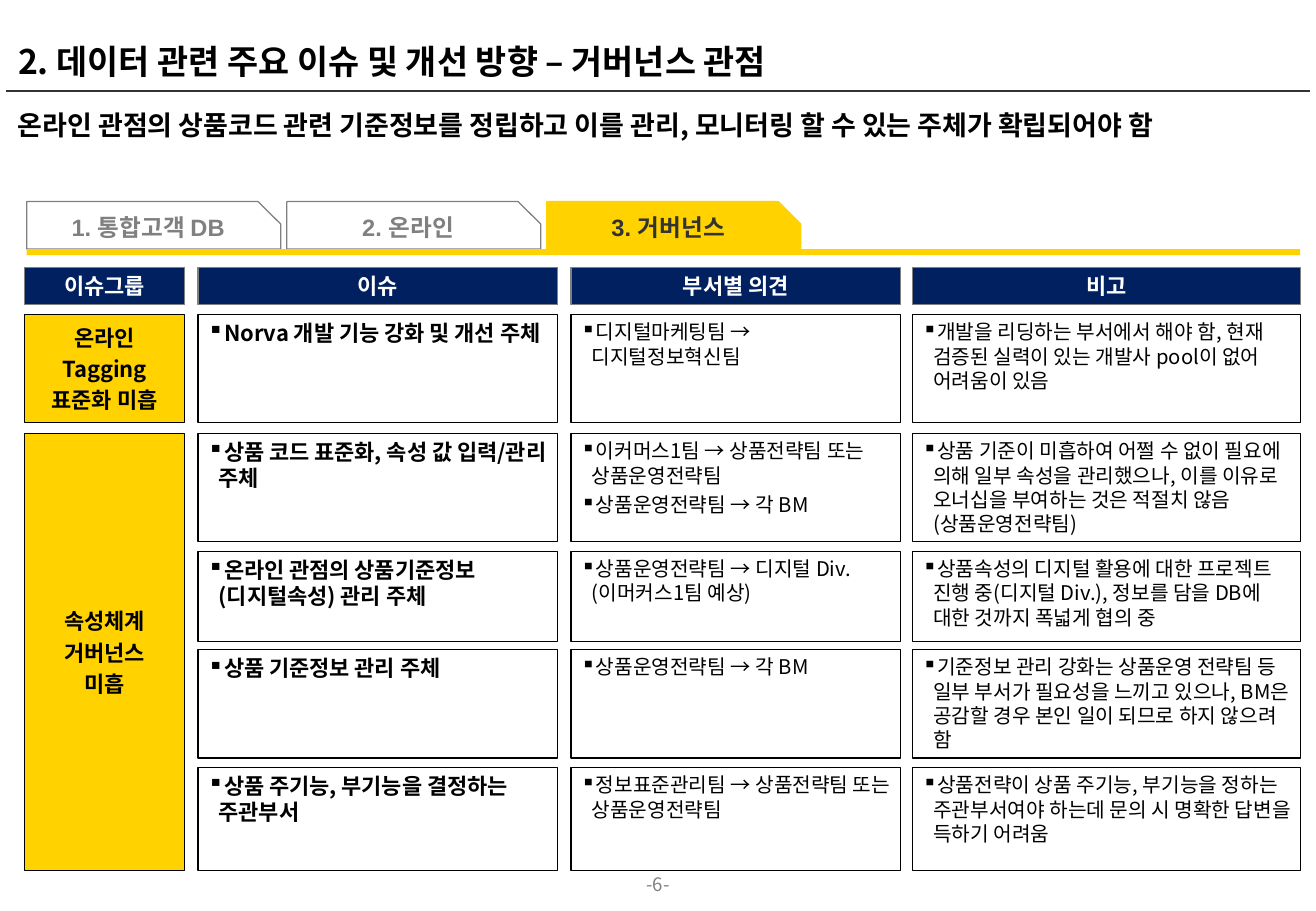
from dataclasses import dataclass

from lxml import etree
from pptx import Presentation
from pptx.dml.color import RGBColor
from pptx.enum.shapes import MSO_CONNECTOR, MSO_SHAPE
from pptx.enum.text import MSO_ANCHOR, PP_ALIGN
from pptx.oxml.ns import qn
from pptx.util import Inches, Pt

RECT, TAB = MSO_SHAPE.RECTANGLE, MSO_SHAPE.SNIP_1_RECTANGLE
STRAIGHT = MSO_CONNECTOR.STRAIGHT
TOP, MIDDLE, BOTTOM = MSO_ANCHOR.TOP, MSO_ANCHOR.MIDDLE, MSO_ANCHOR.BOTTOM
LEFT, CENTER = PP_ALIGN.LEFT, PP_ALIGN.CENTER


@dataclass(frozen=True)
class Theme:
    """Colours, fonts and type sizes of the slide."""
    black: str = "000000"
    white: str = "FFFFFF"
    dark: str = "333333"
    gray: str = "808080"
    yellow: str = "FFD200"
    navy: str = "002060"
    font: str = "Noto Sans CJK KR"
    tab_font: str = "Arial"
    title: int = 20
    message: int = 16
    tab: int = 14
    head: int = 13
    body: int = 12
    page: int = 11
    hairline: float = 0.75
    rule: float = 1


THEME = Theme()
DEFAULT_INSETS = (0.1, 0.05, 0.1, 0.05)
CELL_INSETS = (0.08, 0.04, 0.04, 0.04)
GROUP_INSETS = (0.04, 0.04, 0.04, 0.04)
TAB_INSETS = (0.04, 0, 0.04, 0.08)

TABS = ["1. 통합고객 DB", "2. 온라인", "3. 거버넌스"]
COLUMNS = [(0.2, 1.32), (1.63, 2.96), (4.7, 2.71), (7.51, 3.19)]
HEADERS = ["이슈그룹", "이슈", "부서별 의견", "비고"]
GROUPS = [
    (0, 0, ["온라인", "Tagging", "표준화 미흡"]),
    (1, 4, ["속성체계", "거버넌스", "미흡"]),
]
ROWS = [
    (2.59, 0.89, [
        ["Norva 개발 기능 강화 및 개선 주체"],
        ["디지털마케팅팀 → 디지털정보혁신팀"],
        ["개발을 리딩하는 부서에서 해야 함, 현재 검증된 실력이 있는 개발사 pool이 없어 어려움이 있음"]]),
    (3.57, 0.89, [
        ["상품 코드 표준화, 속성 값 입력/관리 주체"],
        ["이커머스1팀 → 상품전략팀 또는 상품운영전략팀", "상품운영전략팀 → 각 BM"],
        ["상품 기준이 미흡하여 어쩔 수 없이 필요에 의해 일부 속성을 관리했으나, "
         "이를 이유로 오너십을 부여하는 것은 적절치 않음 (상품운영전략팀)"]]),
    (4.54, 0.74, [
        ["온라인 관점의 상품기준정보 (디지털속성) 관리 주체"],
        ["상품운영전략팀 → 디지털 Div.\n(이머커스1팀 예상)"],
        ["상품속성의 디지털 활용에 대한 프로젝트 진행 중(디지털 Div.), "
         "정보를 담을 DB에 대한 것까지 폭넓게 협의 중"]]),
    (5.35, 0.89, [
        ["상품 기준정보 관리 주체"],
        ["상품운영전략팀 → 각 BM"],
        ["기준정보 관리 강화는 상품운영 전략팀 등 일부 부서가 필요성을 느끼고 있으나, "
         "BM은 공감할 경우 본인 일이 되므로 하지 않으려 함"]]),
    (6.32, 0.85, [
        ["상품 주기능, 부기능을 결정하는 주관부서"],
        ["정보표준관리팀 → 상품전략팀 또는 상품운영전략팀"],
        ["상품전략이 상품 주기능, 부기능을 정하는 주관부서여야 하는데 "
         "문의 시 명확한 답변을 득하기 어려움"]]),
]


class SlideBuilder:
    """Draws styled elements on the current slide."""

    def __init__(self, slide, theme):
        self.s = slide
        self.theme = theme

    def fill_text(self, sp, lines, size, color=None, bold=False, font=None, align=LEFT,
                  anchor=TOP, insets=DEFAULT_INSETS, bullet=False, spacing=None):
        """Fill a shape with formatted paragraphs."""
        tf = sp.text_frame
        frame = {"word_wrap": True, "vertical_anchor": anchor}
        sides = ("margin_left", "margin_top", "margin_right", "margin_bottom")
        frame.update(zip(sides, map(Inches, insets)))
        for name, value in frame.items():
            setattr(tf, name, value)
        for i, line in enumerate(lines):
            p = tf.paragraphs[0] if i == 0 else tf.add_paragraph()
            p.text = line
            p.alignment = align
            if bullet:
                pPr = p._p.get_or_add_pPr()
                pPr.set("marL", str(Inches(0.09)))
                pPr.set("indent", str(-Inches(0.09)))
                etree.SubElement(pPr, qn("a:buChar")).set("char", "▪")
            if i:
                p.space_before = Pt(3)
            if spacing:
                p.line_spacing = spacing
            for r in p.runs:
                style = {"name": font or self.theme.font, "size": Pt(size), "bold": bold}
                for name, value in style.items():
                    setattr(r.font, name, value)
                r.font.color.rgb = RGBColor.from_string(color or self.theme.black)
                ea = etree.SubElement(r._r.get_or_add_rPr(), qn("a:ea"))
                ea.set("typeface", self.theme.font)

    def text(self, box, line, size, **style):
        """Add a text box."""
        self.fill_text(self.s.shapes.add_textbox(*map(Inches, box)), [line], size, **style)

    def shape(self, box, fill=None, line=None, kind=RECT):
        """Add a preset shape."""
        sp = self.s.shapes.add_shape(kind, *map(Inches, box))
        sp.shadow.inherit = False
        if fill:
            sp.fill.solid()
            sp.fill.fore_color.rgb = RGBColor.from_string(fill)
        else:
            sp.fill.background()
        if line:
            sp.line.color.rgb = RGBColor.from_string(line)
            sp.line.width = Pt(self.theme.hairline)
        else:
            sp.line.fill.background()
        return sp

    def rule(self, x1, x2, y):
        """Add a horizontal line."""
        c = self.s.shapes.add_connector(STRAIGHT, *map(Inches, (x1, y, x2, y)))
        c.line.color.rgb = RGBColor.from_string(self.theme.dark)
        c.line.width = Pt(self.theme.rule)
        etree.SubElement(c._element.spPr, qn("a:effectLst"))

    def tab(self, box, label, active):
        """Add a section tab."""
        t = self.theme
        fill, line, color = (t.yellow, t.yellow, t.dark) if active else (t.white, t.gray, t.gray)
        sp = self.shape(box, fill, line, TAB)
        sp.adjustments[0] = 0.475
        self.fill_text(sp, [label], t.tab, color=color, bold=True, font=t.tab_font,
                       align=CENTER, insets=TAB_INSETS)

    def header(self, box, label):
        """Add a column header."""
        t = self.theme
        self.fill_text(self.shape(box, t.navy, t.gray), [label], t.head, color=t.white,
                       bold=True, align=CENTER, anchor=MIDDLE)

    def group(self, box, lines):
        """Add an issue group block."""
        t = self.theme
        self.fill_text(self.shape(box, t.yellow, t.black), lines, t.head, bold=True,
                       align=CENTER, anchor=MIDDLE, insets=GROUP_INSETS)

    def cell(self, box, lines, strong):
        """Add a bulleted cell."""
        t = self.theme
        self.fill_text(self.shape(box, line=t.black), lines, t.head if strong else t.body,
                       bold=strong, insets=CELL_INSETS, bullet=True)


def main():
    """Build and save the slide."""
    prs = Presentation()
    prs.slide_width, prs.slide_height = Inches(10.83), Inches(7.5)
    s = SlideBuilder(prs.slides.add_slide(prs.slide_layouts[6]), THEME)

    s.text((4.99, 7.19, 0.85, 0.22), "-6-", THEME.page, color=THEME.gray,
           align=CENTER, insets=(0, 0, 0, 0))
    s.rule(0.05, 10.78, 0.75)
    s.text((0.05, 0.05, 10.72, 0.67), "2. 데이터 관련 주요 이슈 및 개선 방향 – 거버넌스 관점",
           THEME.title, bold=True, anchor=BOTTOM, spacing=0.85)
    s.text((0.05, 0.79, 10.73, 0.56),
           "온라인 관점의 상품코드 관련 기준정보를 정립하고 이를 관리, 모니터링 할 수 있는 주체가 확립되어야 함",
           THEME.message, bold=True, spacing=1.2)

    for i, label in enumerate(TABS):
        s.tab((0.22 + 2.14 * i, 1.66, 2.09, 0.39), label, active=i == len(TABS) - 1)
    s.shape((0.22, 2.05, 10.48, 0.05), THEME.yellow)

    for (x, w), label in zip(COLUMNS, HEADERS):
        s.header((x, 2.2, w, 0.31), label)
    group_x, group_w = COLUMNS[0]
    for first, last, lines in GROUPS:
        top = ROWS[first][0]
        bottom = ROWS[last][0] + ROWS[last][1]
        s.group((group_x, top, group_w, bottom - top), lines)
    for y, h, cells in ROWS:
        for i, ((x, w), lines) in enumerate(zip(COLUMNS[1:], cells)):
            s.cell((x, y, w, h), lines, strong=i == 0)

    prs.save("out.pptx")


if __name__ == "__main__":
    main()
